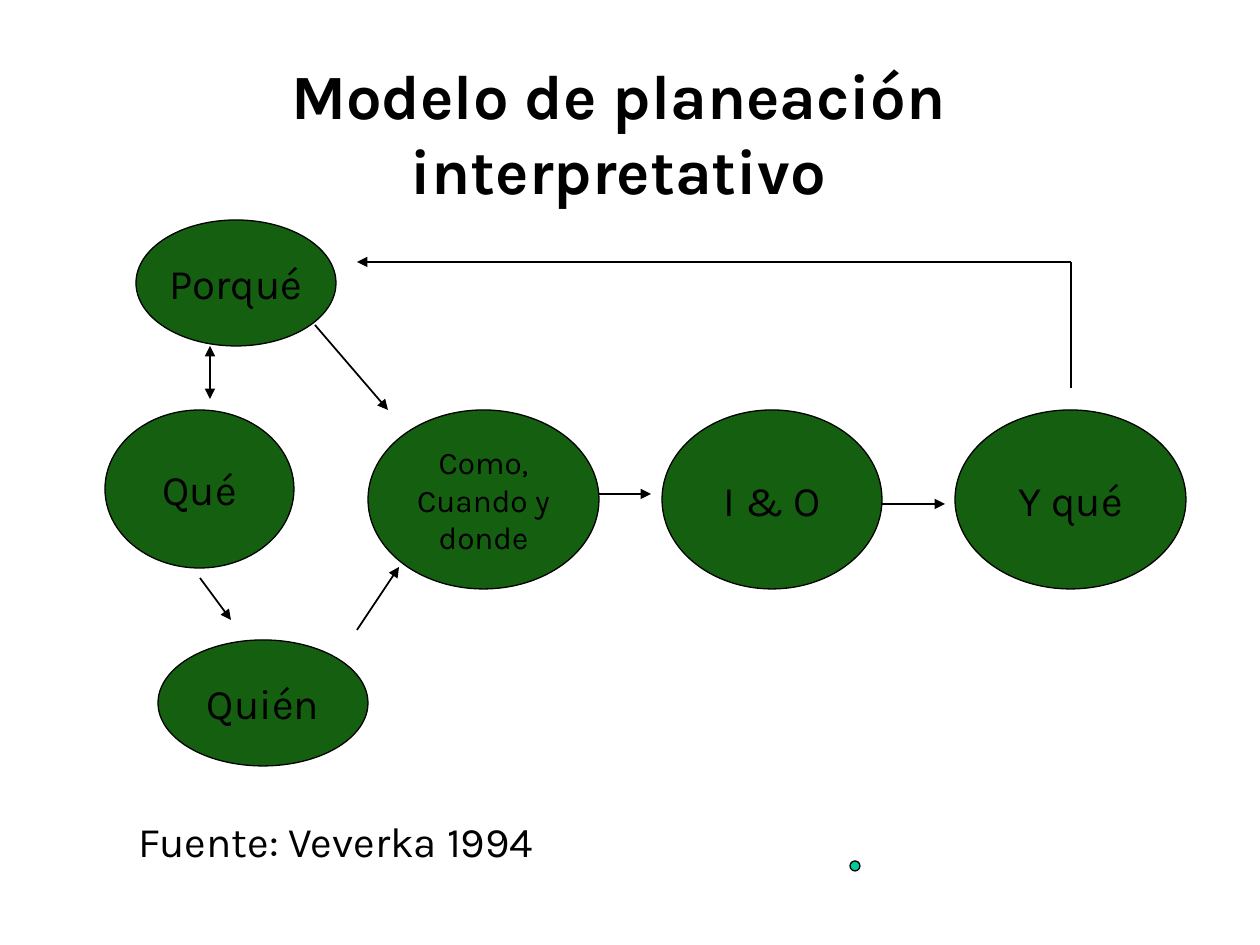
from lxml.etree import SubElement
from pptx import Presentation
from pptx.dml.color import RGBColor
from pptx.enum.shapes import MSO_CONNECTOR, MSO_SHAPE
from pptx.enum.text import MSO_ANCHOR, MSO_AUTO_SIZE, PP_ALIGN
from pptx.oxml.ns import qn
from pptx.util import Emu, Inches, Pt

PX = Inches(1) // 126
FONT = "Karla"
BLACK = "000000"
GREEN = "156010"
TEAL = "00CC99"

# text, left, top, width, height, font size
STAGES = [
    ("Y qué", 955, 410, 231, 179, 24),
    ("I & O", 662, 410, 220, 179, 24),
    ("Quién", 158, 640, 210, 126, 24),
    ("Como,\nCuando y\ndonde", 368, 410, 231, 179, 18),
    ("Porqué", 136, 220, 200, 126, 24),
    ("Qué", 105, 410, 189, 158, 24),
]

# start, end
ARROWS = [
    ((315, 325), (388, 410)),
    ((200, 578), (231, 620)),
    ((357, 630), (399, 567)),
    ((599, 494), (651, 494)),
    ((882, 504), (945, 504)),
    ((1071, 262), (357, 262)),
]


def px(*lengths):
    return [Emu(n * PX) for n in lengths]


def color(hex_code):
    return RGBColor.from_string(hex_code)


def write(sp, text, size, align, anchor, wrap=True, bold=False):
    tf = sp.text_frame
    tf.text = text
    tf.word_wrap = wrap
    tf.auto_size = MSO_AUTO_SIZE.NONE
    tf.vertical_anchor = anchor
    for p in tf.paragraphs:
        p.alignment = align
        p.font.name = FONT
        p.font.size = Pt(size)
        p.font.bold = bold
        p.font.color.rgb = color(BLACK)


def add_title(s, text, left, top, width, height):
    title = s.shapes.title
    title.left, title.top, title.width, title.height = px(left, top, width, height)
    write(title, text, 36, PP_ALIGN.CENTER, MSO_ANCHOR.MIDDLE, bold=True)


def add_oval(s, left, top, width, height, fill):
    sp = s.shapes.add_shape(MSO_SHAPE.OVAL, *px(left, top, width, height))
    sp.shadow.inherit = False
    sp.fill.solid()
    sp.fill.fore_color.rgb = color(fill)
    sp.line.color.rgb = color(BLACK)
    sp.line.width = Pt(0.75)
    return sp


def add_line(s, start, end, width=1, ends=("tailEnd",)):
    """Draw a line with a triangle at each of the named ends."""
    line = s.shapes.add_connector(MSO_CONNECTOR.STRAIGHT, *px(*start, *end))
    line.line.color.rgb = color(BLACK)
    line.line.width = Pt(width)
    ln = line.line._get_or_add_ln()
    for name in ends:
        SubElement(ln, qn(f"a:{name}"), type="triangle")
    SubElement(line._element.spPr, qn("a:effectLst"))


def main():
    prs = Presentation()
    prs.slide_width, prs.slide_height = Inches(10), Inches(7.5)
    s = prs.slides.add_slide(prs.slide_layouts[5])

    add_title(s, "Modelo de planeación interpretativo", 103, 53, 1031, 158)
    source = s.shapes.add_textbox(*px(126, 809, 1008, 63))
    write(source, "Fuente: Veverka 1994", 24, PP_ALIGN.LEFT, MSO_ANCHOR.TOP)

    for text, left, top, width, height, size in STAGES:
        oval = add_oval(s, left, top, width, height, GREEN)
        write(oval, text, size, PP_ALIGN.CENTER, MSO_ANCHOR.MIDDLE, wrap=False)
    add_oval(s, 850, 861, 10, 10, TEAL)

    for start, end in ARROWS:
        add_line(s, start, end)
    add_line(s, (210, 346), (210, 399), ends=("headEnd", "tailEnd"))
    add_line(s, (1071, 388), (1071, 262), width=0.75, ends=())

    prs.save("out.pptx")


if __name__ == "__main__":
    main()
